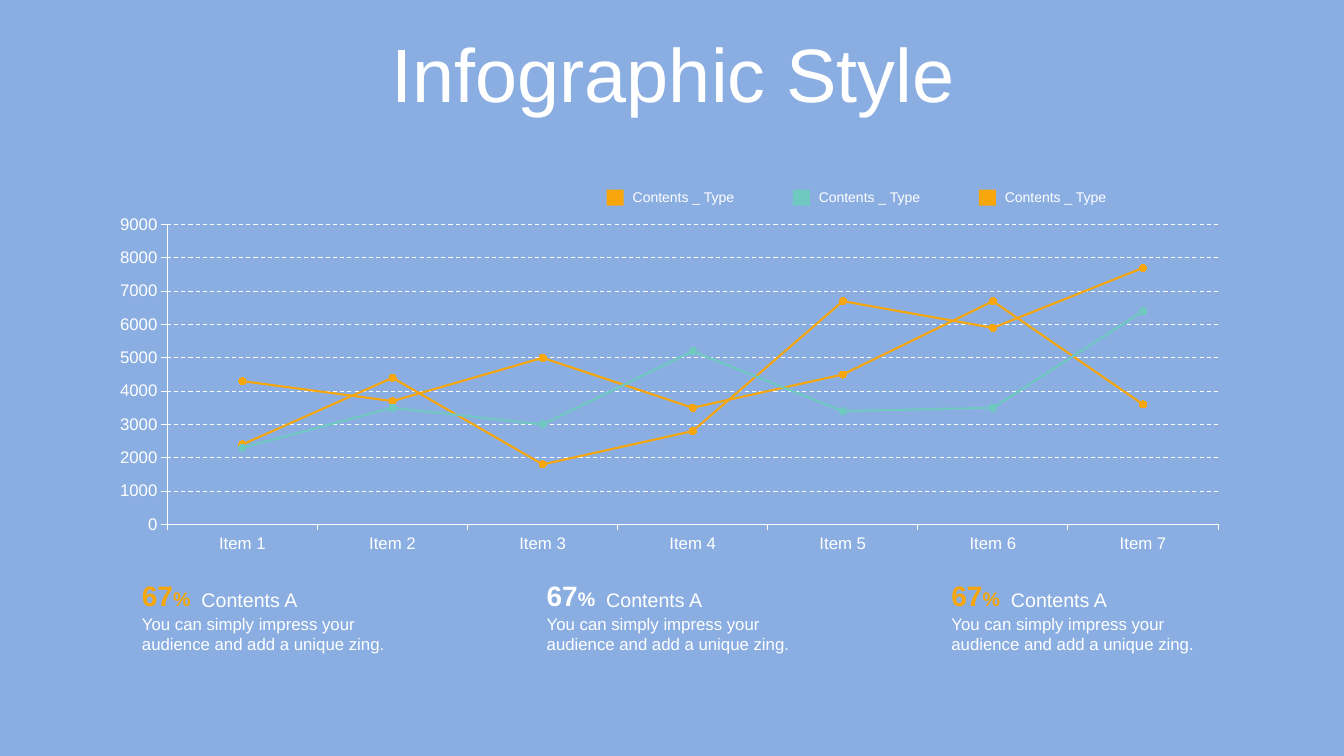
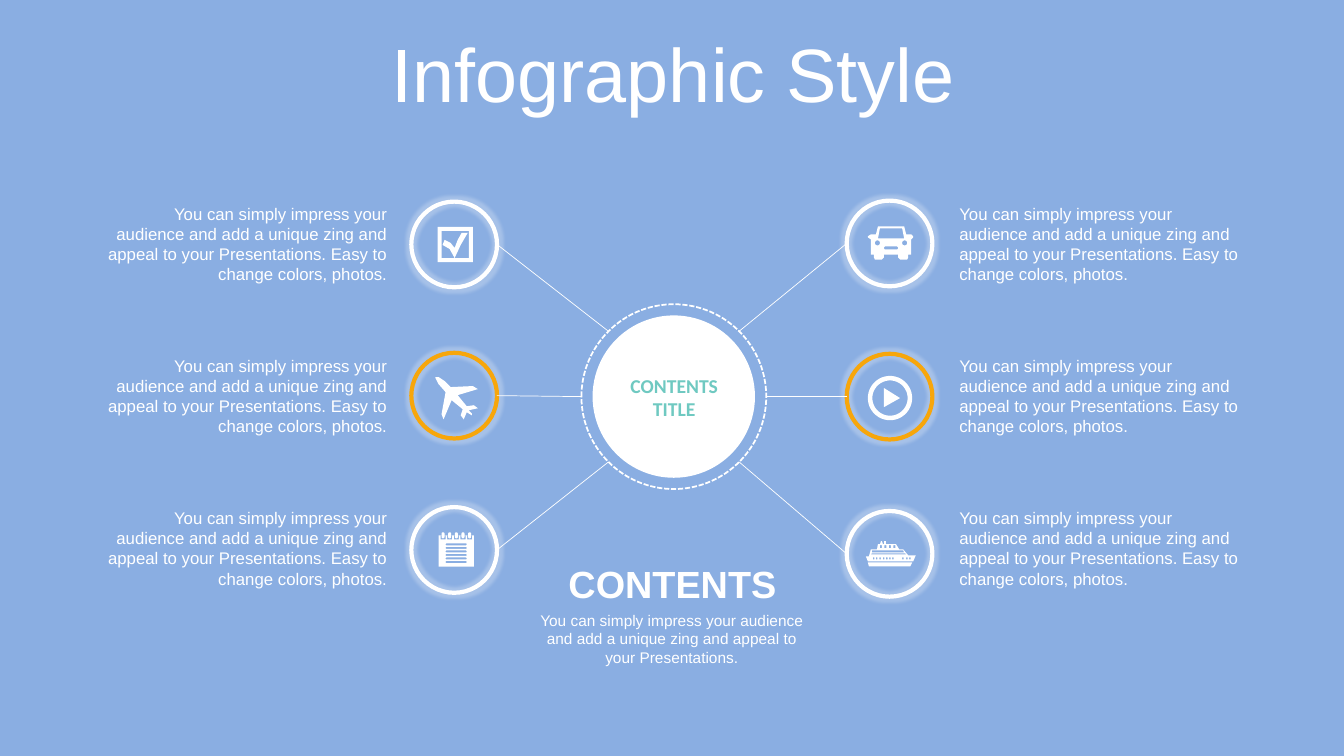
import math
from dataclasses import dataclass

import pptx
import pptx.chart.data
import pptx.dml.color
import pptx.enum.chart
import pptx.enum.dml
import pptx.enum.shapes
import pptx.enum.text
import pptx.oxml
import pptx.oxml.ns
import pptx.util

Pt = pptx.util.Pt
ALIGN = pptx.enum.text.PP_ALIGN
ANCHOR = pptx.enum.text.MSO_ANCHOR
SHAPE = pptx.enum.shapes.MSO_SHAPE
DASH = pptx.enum.dml.MSO_LINE
qn = pptx.oxml.ns.qn
A_NS = pptx.oxml.ns.nsdecls("a")
C_NS = pptx.oxml.ns.nsdecls("c")


@dataclass(frozen=True)
class Theme:
    sky: str = "8AAEE2"
    white: str = "FFFFFF"
    orange: str = "F7A60B"
    mint: str = "6FC9C1"
    font: str = "Arial"
    hub_font: str = "Calibri"
    title: int = 54
    heading: int = 27
    figure: int = 20
    label: int = 14
    body: int = 12
    caption: int = 11
    legend: int = 10


T = Theme()

# ---- Content ----
TITLE = "Infographic Style"
ITEMS = [f"Item {n}" for n in range(1, 8)]
SERIES = [
    ("Series 1", T.orange, (4300, 3700, 5000, 3500, 4500, 6700, 3600)),
    ("Series 2", T.orange, (2400, 4400, 1800, 2800, 6700, 5900, 7700)),
    ("Series 3", T.mint, (2300, 3500, 3000, 5200, 3400, 3500, 6400)),
]
LEGEND = [("Contents _ Type", color) for color in (T.orange, T.mint, T.orange)]
ZING = "You can simply impress your audience and add a unique zing"
STATS = [("67", "Contents A", ZING + ".", color)
         for color in (T.orange, T.white, T.orange)]
SPOKE_TEXT = ZING + " and appeal to your Presentations. Easy to change colors, photos."
HUB_TITLE = ("CONTENTS", "TITLE")
SUMMARY = ("CONTENTS", ZING + " and appeal to your Presentations.")


# ---- Icon outlines, on a grid of 0.72 pt; a contour inside another is a hole ----
def rect(x, y, w, h):
    return [(x, y), (x + w, y), (x + w, y + h), (x, y + h)]


def capsule(x, y, w, h, steps=40):
    """Rectangle with fully round ends; a circle when w equals h."""
    r = min(w, h) / 2
    points = []
    for step in range(steps):
        angle = 2 * math.pi * (step + 0.5) / steps
        dx, dy = math.cos(angle), math.sin(angle)
        points.append((x + w / 2 + math.copysign(w / 2 - r, dx) + r * dx,
                       y + h / 2 + math.copysign(h / 2 - r, dy) + r * dy))
    return points


CHECKBOX = [
    rect(0, 0, 35, 35), rect(4, 4, 27, 27),
    [(5, 18), (7, 13), (13, 16), (17, 21), (20, 13), (24, 6), (30, 6),
     (23, 18), (17, 31), (12, 22)],
]
PLANE = [
    [(42, 31), (33, 33), (36, 36), (36, 38), (31, 35), (28, 42), (25, 38), (27, 32),
     (16, 23), (8, 42), (6, 37), (10, 15), (3, 7), (0, 1), (0, 0), (3, 0), (9, 4),
     (15, 10), (37, 9), (42, 12), (22, 18), (31, 29), (38, 28)],
]
NOTEBOOK = (
    [rect(0, 3, 35, 31)]
    + [rect(2 + 6.6 * i, 3, 5, 4) for i in range(5)]
    + [capsule(3 + 6.6 * i, 0, 3, 6) for i in range(5)]
    + [capsule(7, 11 + 3.5 * i, 21, 2) for i in range(6)]
)
CAR = [
    [(10, 0), (36, 0), (38, 8), (43, 8), (45, 10), (45, 11), (43, 13), (43, 28),
     (40, 28), (40, 31), (39, 33), (32, 33), (30, 31), (30, 28), (16, 28), (16, 31),
     (14, 33), (7, 33), (6, 31), (6, 28), (3, 28), (3, 13), (0, 11), (0, 10),
     (3, 8), (8, 8)],
    [(12, 2), (34, 2), (36, 12), (10, 12)],
    capsule(7, 14, 5, 5), capsule(34, 14, 5, 5), capsule(16, 20, 14, 3),
]
PLAY = [capsule(0, 0, 44, 44), capsule(4.5, 4.5, 35, 35), [(16, 12), (32, 22), (16, 31)]]
SHIP = [
    [(2, 21), (46, 21), (44, 25), (3, 25)],
    [(18, 0), (20, 0), (20, 3), (30, 3), (33, 8), (37, 8), (42, 14), (49.5, 14),
     (47, 20), (2, 20), (0, 15), (3, 15), (5, 8), (11, 8), (12, 3), (14, 3),
     (15, 0), (16, 0), (17, 3), (18, 3)],
    [(6, 12), (5, 13), (40, 13), (39, 12)],
    [(6, 9), (6, 11), (38, 11), (37, 9)],
    *[rect(14 + 4.4 * i, 4, 2, 3) for i in range(4)],
    *[rect(x, 16, 1.5, 2) for x in (7, 10, 13.5, 17, 20, 23, 26, 36, 40, 43)],
]

# Each spoke: ring top, ring colour, icon offset from the ring centre, icon
LEFT_SPOKES = [
    (144, T.white, (-16.5, -17.5), CHECKBOX),
    (252, T.orange, (-18.5, -18.5), PLANE),
    (362.2, T.white, (-15.5, -17.5), NOTEBOOK),
]
RIGHT_SPOKES = [
    (143.3, T.white, (-21.5, -17), CAR),
    (252.7, T.orange, (-21.5, -20.5), PLAY),
    (365, T.white, (-23.5, -12.5), SHIP),
]
# Each side: direction from the hub, ring left, text left, alignment, spokes
SIDES = [
    (-1, 293.8, (68.4, 215.3), ALIGN.RIGHT, LEFT_SPOKES),
    (1, 604.8, (678.2, 213.8), ALIGN.LEFT, RIGHT_SPOKES),
]
RING = 61.2
HUB_X, HUB_Y, HUB_R, HALO_R = 481.3, 283.3, 58, 66
GRID = 0.72


# ---- Drawing helpers ----
def rgb(color):
    return pptx.dml.color.RGBColor.from_string(color)


def box(left, top, width, height):
    return Pt(left), Pt(top), Pt(width), Pt(height)


def style_font(font, size, color=T.white, bold=False, name=T.font):
    font.size, font.bold, font.name = Pt(size), bold, name
    font.color.rgb = rgb(color)


def style_line(line, color, width, dash=None):
    line.color.rgb = rgb(color)
    line.width = Pt(width)
    if dash:
        line.dash_style = dash


def add_text(slide, place, lines, size, align=ALIGN.LEFT, anchor=ANCHOR.TOP,
             inset=True, **font):
    frame = slide.shapes.add_textbox(*box(*place)).text_frame
    frame.word_wrap = True
    frame.vertical_anchor = anchor
    if not inset:
        frame.margin_left = frame.margin_right = frame.margin_top = frame.margin_bottom = 0
    frame.text = "\n".join(lines)
    for paragraph in frame.paragraphs:
        paragraph.alignment = align
        for run in paragraph.runs:
            style_font(run.font, size, **font)
    return frame


def style_shape(shape, fill=None, line=None):
    shape.shadow.inherit = False
    if fill:
        shape.fill.solid()
        shape.fill.fore_color.rgb = rgb(fill)
    else:
        shape.fill.background()
    if line:
        style_line(shape.line, *line)
    else:
        shape.line.fill.background()
    return shape


def add_circle(slide, x, y, r, **style):
    place = box(x - r, y - r, 2 * r, 2 * r)
    return style_shape(slide.shapes.add_shape(SHAPE.OVAL, *place), **style)


def add_glow(shape):
    shape._element.spPr.find(qn("a:effectLst")).append(pptx.oxml.parse_xml(
        f'<a:glow {A_NS} rad="{Pt(5)}"><a:srgbClr val="{T.white}">'
        '<a:alpha val="25000"/></a:srgbClr></a:glow>'))


def add_icon(slide, x, y, contours):
    outlines = [[(Pt(x + GRID * px), Pt(y + GRID * py)) for px, py in contour]
                for contour in contours]
    builder = slide.shapes.build_freeform(*outlines[0][0], scale=1.0)
    for index, outline in enumerate(outlines):
        if index:
            builder.move_to(*outline[0])
        builder.add_line_segments(outline[1:], close=True)
    style_shape(builder.convert_to_shape(), fill=T.white)


def add_spoke_line(slide, start, end):
    spoke = slide.shapes.add_connector(
        pptx.enum.shapes.MSO_CONNECTOR.STRAIGHT, *map(Pt, start + end))
    style_line(spoke.line, T.white, 0.5)
    spoke._element.spPr.append(pptx.oxml.parse_xml(f"<a:effectLst {A_NS}/>"))


def add_titled_slide(prs):
    slide = prs.slides.add_slide(prs.slide_layouts[5])
    title = slide.shapes.title
    title.left, title.top, title.width, title.height = box(25.2, 22.3, 911.5, 66.2)
    frame = title.text_frame
    frame.text = TITLE
    frame.vertical_anchor = ANCHOR.MIDDLE
    heading = frame.paragraphs[0]
    heading.alignment = ALIGN.CENTER
    heading.line_spacing = 0.9
    style_font(heading.runs[0].font, T.title)
    return slide


# ---- Slides ----
def add_line_chart(slide):
    data = pptx.chart.data.CategoryChartData()
    data.categories = ITEMS
    for name, _, values in SERIES:
        data.add_series(name, values)
    chart = slide.shapes.add_chart(pptx.enum.chart.XL_CHART_TYPE.LINE_MARKERS,
                                   *box(70.6, 150.5, 815.8, 249.1), data).chart
    chart.has_legend = chart.has_title = False
    style_font(chart.font, T.body)
    for axis in (chart.category_axis, chart.value_axis):
        axis.major_tick_mark = pptx.enum.chart.XL_TICK_MARK.OUTSIDE
        style_font(axis.tick_labels.font, T.body)
        style_line(axis.format.line, T.white, 0.75)
    scale = chart.value_axis
    scale.minimum_scale, scale.maximum_scale, scale.major_unit = 0, 9000, 1000
    style_line(scale.major_gridlines.format.line, T.white, 0.75, DASH.DASH)
    plot = chart.plots[0]
    plot.vary_by_categories = False
    for series, (_, color, _) in zip(plot.series, SERIES):
        series.smooth = False
        style_line(series.format.line, color, 1.5)
        marker = series.marker
        marker.style, marker.size = pptx.enum.chart.XL_MARKER_STYLE.CIRCLE, 5
        marker.format.fill.solid()
        marker.format.fill.fore_color.rgb = rgb(color)
        marker.format.line.color.rgb = rgb(color)
    plot_area = chart._chartSpace.chart.plotArea
    for layout in plot_area.findall(qn("c:layout")):
        plot_area.remove(layout)
    edges = "".join(f'<c:{key} val="{value}"/>' for key, value in (
        ("layoutTarget", "inner"), ("xMode", "edge"), ("yMode", "edge"),
        ("x", 0.06), ("y", 0.04), ("w", 0.92), ("h", 0.86)))
    plot_area.insert(0, pptx.oxml.parse_xml(
        f"<c:layout {C_NS}><c:manualLayout>{edges}</c:manualLayout></c:layout>"))


def build_chart_slide(prs):
    slide = add_titled_slide(prs)
    add_line_chart(slide)
    for index, (figure, label, text, color) in enumerate(STATS):
        left = 94.3 + 289.1 * index
        frame = add_text(slide, (left, 409.7, 62.6, 31.7), [figure], T.figure,
                         anchor=ANCHOR.MIDDLE, color=color, bold=True)
        percent = frame.paragraphs[0].add_run()
        percent.text = "%"
        style_font(percent.font, T.label, color, bold=True)
        add_text(slide, (left + 42.5, 416.2, 150.5, 24.5), [label], T.label,
                 anchor=ANCHOR.MIDDLE)
        add_text(slide, (left, 434.9, 193, 36), [text], T.body)
    for index, (label, color) in enumerate(LEGEND):
        left = 433.4 + 132.9 * index
        swatch = slide.shapes.add_shape(SHAPE.RECTANGLE, *box(left, 135.4, 12.2, 11.5))
        style_shape(swatch, fill=color)
        add_text(slide, (left + 11.5, 131, 103, 19.4), [label], T.legend,
                 anchor=ANCHOR.MIDDLE)


def build_hub_slide(prs):
    slide = add_titled_slide(prs)
    add_circle(slide, HUB_X, HUB_Y, HUB_R, fill=T.white)
    add_circle(slide, HUB_X, HUB_Y, HALO_R, line=(T.white, 1.25, DASH.SQUARE_DOT))
    for side, ring_left, (text_left, text_width), align, spokes in SIDES:
        x = ring_left + RING / 2
        for row, (ring_top, color, (dx, dy), icon) in enumerate(spokes):
            y = ring_top + RING / 2
            add_text(slide, (text_left, 141.8 + 108.7 * row, text_width, 65.5),
                     [SPOKE_TEXT], T.body, align)
            add_glow(add_circle(slide, x, y, RING / 2, line=(color, 3)))
            angle = math.radians(45 * (row - 1))
            add_spoke_line(slide, (x - side * RING / 2, y),
                           (HUB_X + side * HALO_R * math.cos(angle),
                            HUB_Y + HALO_R * math.sin(angle)))
            add_icon(slide, x + GRID * dx, y + GRID * dy, icon)
    add_text(slide, (425.5, 263.5, 112.3, 41), HUB_TITLE, T.label, ALIGN.CENTER,
             color=T.mint, bold=True, name=T.hub_font)
    heading, text = SUMMARY
    add_text(slide, (380.2, 400.3, 200.2, 32.4), [heading], T.heading, ALIGN.CENTER,
             inset=False, bold=True)
    add_text(slide, (380.9, 436.3, 198, 40.3), [text], T.caption, ALIGN.CENTER,
             inset=False)


def main():
    prs = pptx.Presentation()
    prs.slide_width, prs.slide_height = Pt(960), Pt(540)
    backdrop = prs.slide_master.background.fill
    backdrop.solid()
    backdrop.fore_color.rgb = rgb(T.sky)
    build_chart_slide(prs)
    build_hub_slide(prs)
    prs.save("out.pptx")


if __name__ == "__main__":
    main()
